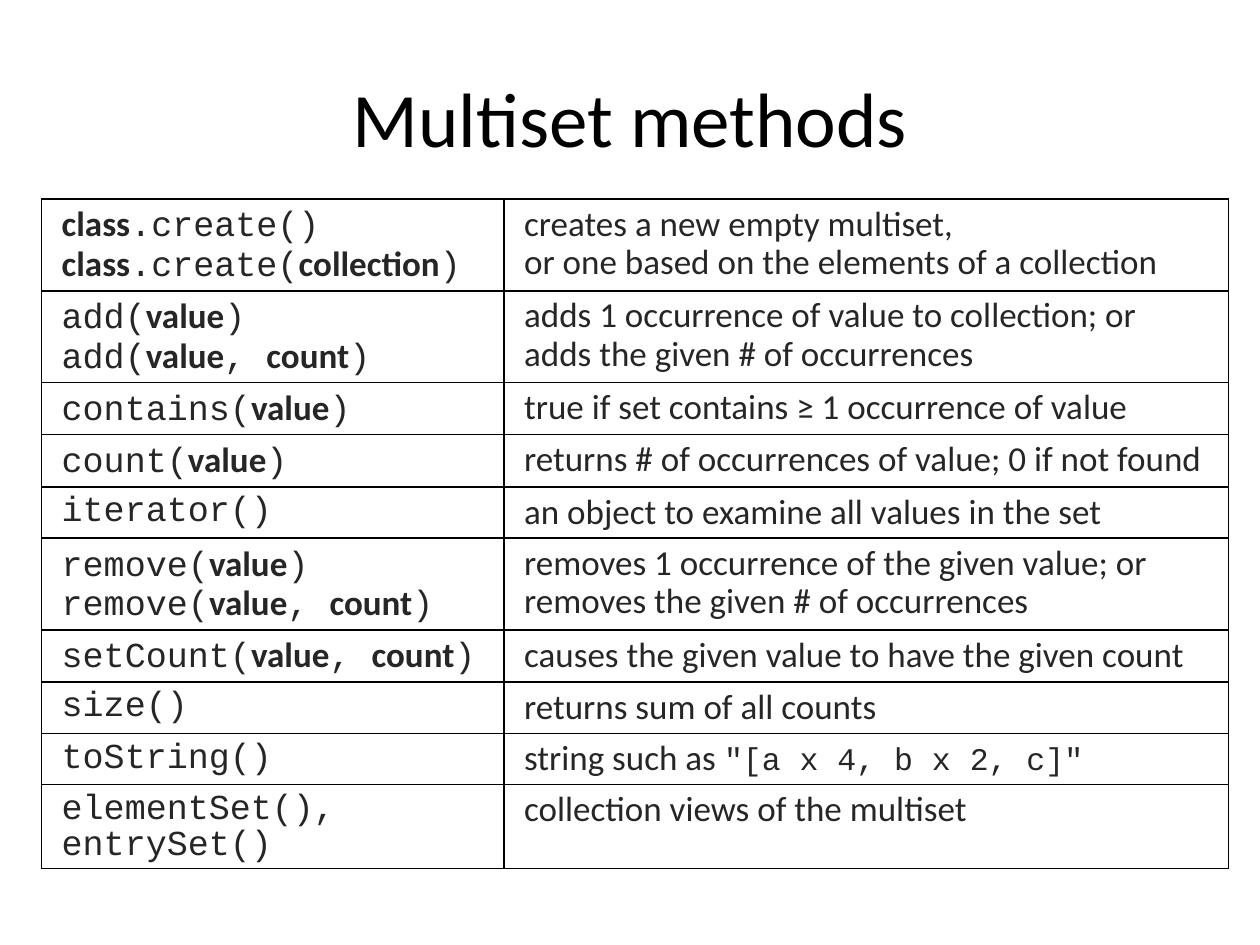
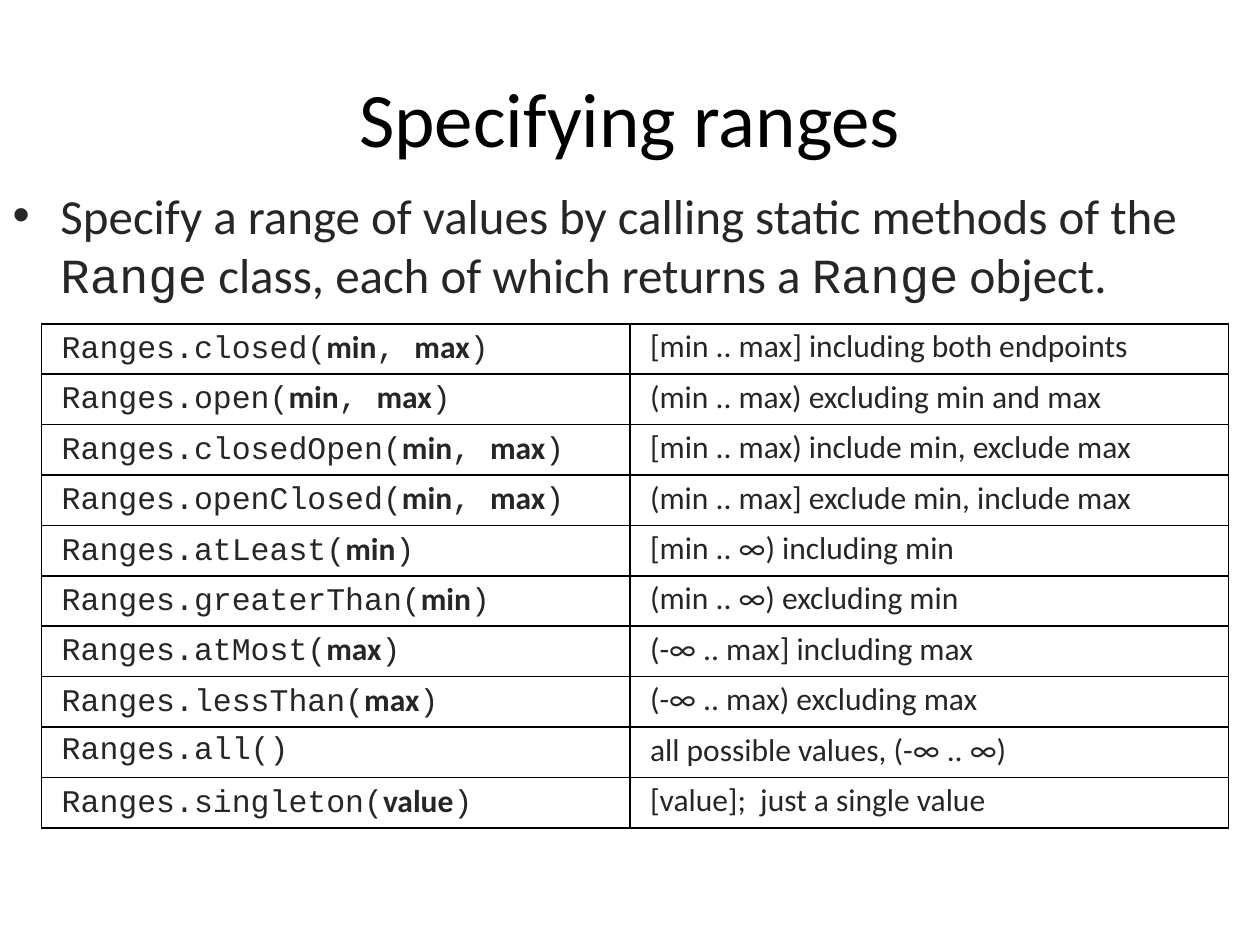
from lxml import etree
from pptx import Presentation
from pptx import util as u
from pptx.dml.color import RGBColor
from pptx.enum import text
from pptx.oxml import ns

COLORS = {"title": "000000", "body": "262626", "border": "000000"}
PROSE, CODE = "Calibri", "Courier New"

MULTISET_METHODS = [
    ("|class|.create()\n|class|.create(|collection|)",
     "creates a new empty multiset,\nor one based on the elements of a collection"),
    ("add(|value|)\nadd(|value|, |count|)",
     "adds 1 occurrence of value to collection; or\nadds the given # of occurrences"),
    ("contains(|value|)", "true if set contains ≥ 1 occurrence of value"),
    ("count(|value|)", "returns # of occurrences of value; 0 if not found"),
    ("iterator()", "an object to examine all values in the set"),
    ("remove(|value|)\nremove(|value|, |count|)",
     "removes 1 occurrence of the given value; or\nremoves the given # of occurrences"),
    ("setCount(|value|, |count|)", "causes the given value to have the given count"),
    ("size()", "returns sum of all counts"),
    ("toString()", 'string such as |"[a x 4, b x 2, c]"|'),
    ("elementSet(), entrySet()", "collection views of the multiset"),
]

RANGE_METHODS = [
    ("closed(|min|, |max|)", "[min .. max] including both endpoints"),
    ("open(|min|, |max|)", "(min .. max) excluding min and max"),
    ("closedOpen(|min|, |max|)", "[min .. max) include min, exclude max"),
    ("openClosed(|min|, |max|)", "(min .. max] exclude min, include max"),
    ("atLeast(|min|)", "[min .. ∞) including min"),
    ("greaterThan(|min|)", "(min .. ∞) excluding min"),
    ("atMost(|max|)", "(-∞ .. max] including max"),
    ("lessThan(|max|)", "(-∞ .. max) excluding max"),
    ("all()", "all possible values, (-∞ .. ∞)"),
    ("singleton(|value|)", "[value];  just a single value"),
]


def write(para, words, size, font=PROSE, accent_font=CODE, accent_size=None,
          accent_bold=False, color=COLORS["body"]):
    for index, part in enumerate(words.split("|")):
        accented = index % 2 == 1
        for number, line in enumerate(part.split("\n")):
            if number:
                para.add_line_break()
            if not line:
                continue
            span = para.add_run()
            span.text = line
            span.font.name = accent_font if accented else font
            span.font.size = u.Pt(accent_size or size if accented else size)
            span.font.bold = accented and accent_bold
            span.font.color.rgb = RGBColor.from_string(color)


def place(box, left, top, width, height):
    box.left, box.top = u.Inches(left), u.Inches(top)
    box.width, box.height = u.Inches(width), u.Inches(height)


def add_page(deck, layout, title):
    page = deck.slides.add_slide(deck.slide_layouts[layout])
    box = page.shapes.title
    place(box, 0.5, 0.3, 9, 1.25)
    box.text_frame.vertical_anchor = text.MSO_ANCHOR.MIDDLE
    para = box.text_frame.paragraphs[0]
    para.alignment = text.PP_ALIGN.CENTER
    write(para, title, 44, color=COLORS["title"])
    return page


def add_bullet(page, words):
    box = page.placeholders[1]
    place(box, 0, 1.42, 10, 6.08)
    para = box.text_frame.paragraphs[0]
    properties = para._p.get_or_add_pPr()
    properties.set("marL", str(u.Inches(0.38)))
    properties.set("indent", str(u.Inches(-0.38)))
    etree.SubElement(properties, ns.qn("a:buChar"), char="•")
    para.space_before = u.Pt(0)
    write(para, words, 28)


def outline(cell):
    properties = cell._tc.get_or_add_tcPr()
    for side in ("lnL", "lnR", "lnT", "lnB"):
        line = etree.SubElement(properties, ns.qn(f"a:{side}"), w=str(u.Pt(1)))
        fill = etree.SubElement(line, ns.qn("a:solidFill"))
        etree.SubElement(fill, ns.qn("a:srgbClr"), val=COLORS["border"])


def fill_cell(cell, words, size, **style):
    outline(cell)
    cell.fill.background()
    para = cell.text_frame.paragraphs[0]
    para._p.get_or_add_pPr().set("marL", str(u.Inches(0.06)))
    para.line_spacing = 0.9
    write(para, words, size, **style)


def add_method_table(page, methods, top, widths, size):
    heights = [0.7 if "\n" in call else 0.4 for call, _ in methods]
    frame = page.shapes.add_table(len(methods), 2, u.Inches(0.33), u.Inches(top),
                                  u.Inches(sum(widths)), u.Inches(sum(heights)))
    table = frame.table
    table.first_row = table.horz_banding = False
    for column, width in zip(table.columns, widths):
        column.width = u.Inches(width)
    for row, height, (call, meaning) in zip(table.rows, heights, methods):
        row.height = u.Inches(height)
        fill_cell(row.cells[0], call, size, font=CODE, accent_font=PROSE, accent_bold=True)
        fill_cell(row.cells[1], meaning, size, accent_size=18)


def main():
    deck = Presentation()
    deck.slide_width, deck.slide_height = u.Inches(10), u.Inches(7.5)

    page = add_page(deck, 5, "Multiset methods")
    add_method_table(page, MULTISET_METHODS, 1.58, (3.67, 5.75), 20)

    page = add_page(deck, 1, "Specifying ranges")
    add_bullet(page, "Specify a range of values by calling static methods of the "
                     "|Range| class, each of which returns a |Range| object.")
    range_calls = [("Ranges." + call, meaning) for call, meaning in RANGE_METHODS]
    add_method_table(page, range_calls, 2.57, (4.67, 4.75), 18)

    deck.save("out.pptx")


if __name__ == "__main__":
    main()
